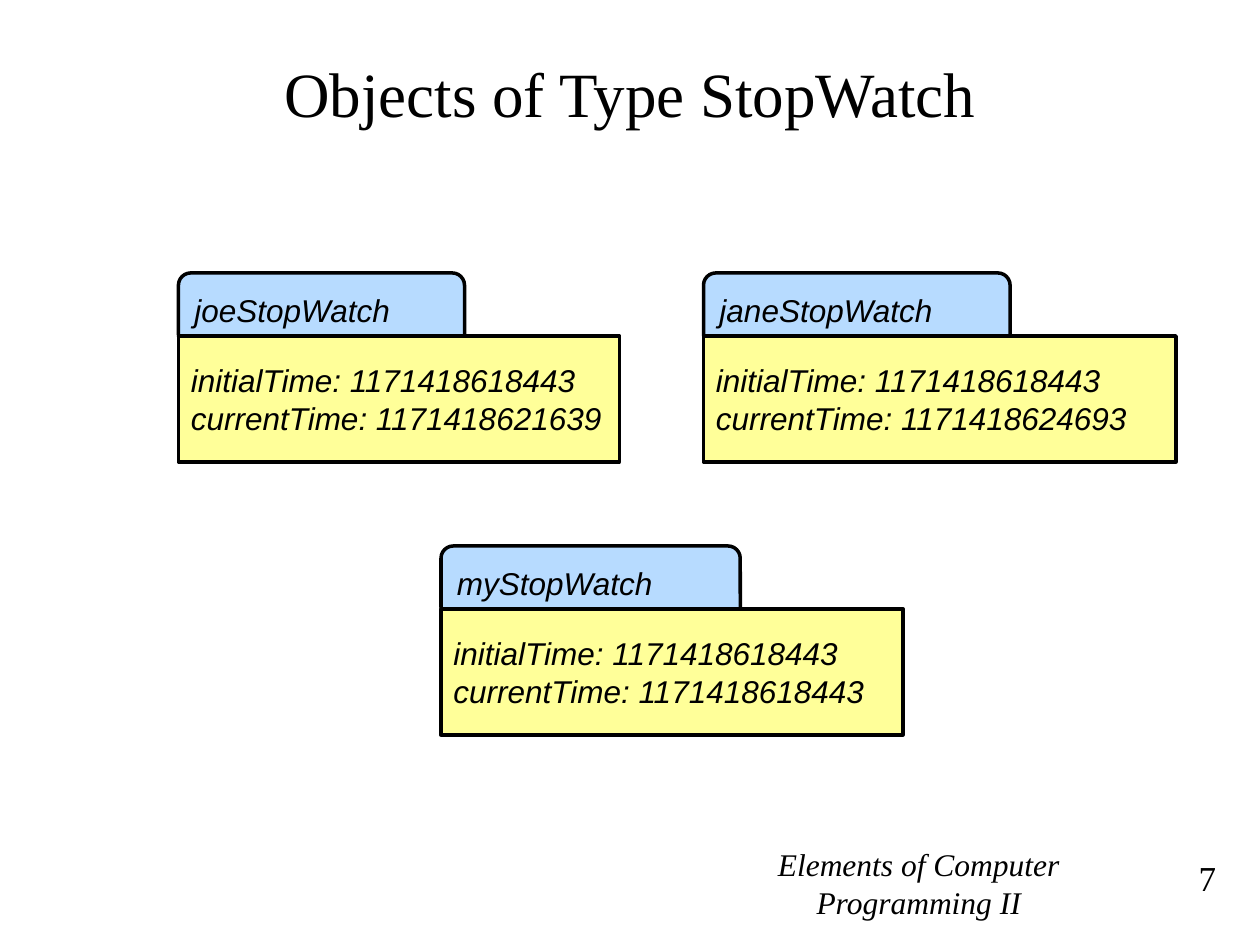
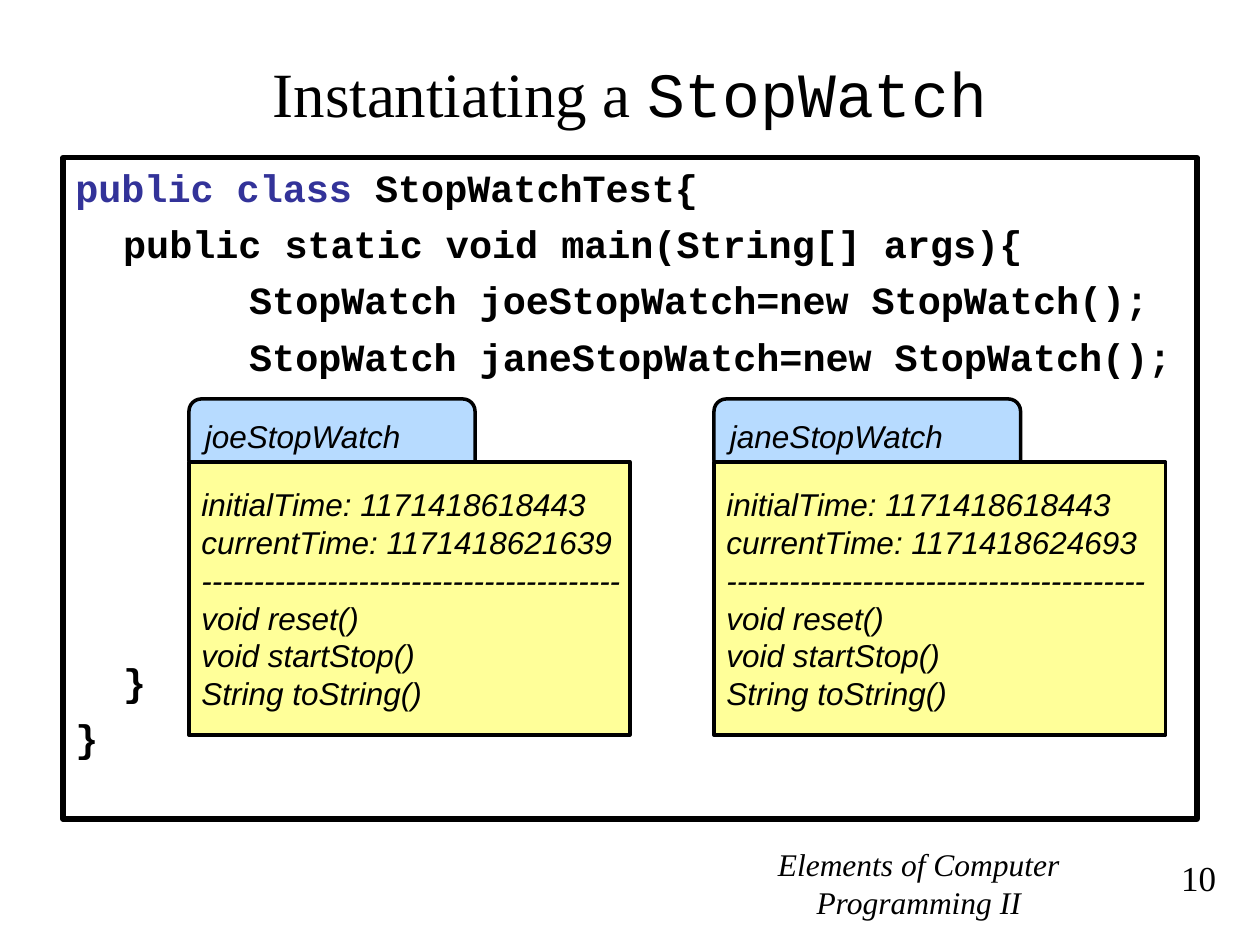
from dataclasses import dataclass
from typing import NamedTuple

from lxml import etree
from pptx import Presentation
from pptx import util as u
from pptx.dml.color import RGBColor
from pptx.enum import shapes, text
from pptx.oxml.ns import qn

# Shared style: the slide is a grid of 120 columns by 90 rows
WIDTH, HEIGHT = u.Inches(10), u.Inches(7.5)
COLS, ROWS = 120, 90
COLORS = {"ink": "000000", "keyword": "333399", "tab": "99CCFF", "body": "FFFF99"}
SERIF, SANS, MONO = "Times New Roman", "Arial", "Courier New"
LEFT, CENTER, RIGHT = text.PP_ALIGN.LEFT, text.PP_ALIGN.CENTER, text.PP_ALIGN.RIGHT
MIDDLE, TOP = text.MSO_ANCHOR.MIDDLE, text.MSO_ANCHOR.TOP

# Object cards and code lines
TAB_ROWS, TAB_OVERLAP = 7, 1
LINE_GAP, CODE_STEP = 5.8, 30.7
CODE_INDENTS = (0, 0.38, 1.38)
METHODS = ("-" * 40, "void reset()", "void startStop()", "String toString()")


class Box(NamedTuple):
    col: float
    row: float
    cols: float
    rows: float

    def place(self) -> tuple[int, int, int, int]:
        x, y = WIDTH / COLS, HEIGHT / ROWS
        return (round(self.col * x), round(self.row * y),
                round(self.cols * x), round(self.rows * y))


class Style(NamedTuple):
    font: str
    size: float
    bold: bool = False
    italic: bool = False
    color: str = "ink"


TITLE = Style(SERIF, 36)
TITLE_CODE = Style(MONO, 36)
FOOTER = Style(SERIF, 18, italic=True)
NUMBER = Style(SERIF, 20)
CARD = Style(SANS, 18, italic=True)
CODE = Style(MONO, 22, bold=True)
KEYWORD = CODE._replace(color="keyword")


class Span(NamedTuple):
    text: str
    style: Style


@dataclass
class CodeLine:
    spans: list[Span]
    level: int = 0
    skipped: int = 0  # lines left free above this one


@dataclass
class ObjectCard:
    name: str
    current: str
    col: float
    row: float
    tab_cols: float
    body_cols: float
    body_rows: float = 12
    methods: tuple[str, ...] = ()
    initial: str = "1171418618443"

    def lines(self) -> list[str]:
        return [f"initialTime: {self.initial}", f"currentTime: {self.current}",
                *self.methods]


def rgb(name: str) -> RGBColor:
    return RGBColor.from_string(COLORS[name])


def write(p, spans: list[Span], align=LEFT) -> None:
    p.alignment = align
    for span in spans:
        r = p.add_run()
        r.text = span.text
        font = r.font
        font.name, font.size = span.style.font, u.Pt(span.style.size)
        font.bold, font.italic = span.style.bold, span.style.italic
        font.color.rgb = rgb(span.style.color)


def add_text(s, box: Box, spans: list[Span], align, anchor=TOP):
    tf = s.shapes.add_textbox(*box.place()).text_frame
    tf.word_wrap = True
    tf.vertical_anchor = anchor
    write(tf.paragraphs[0], spans, align)
    return tf


def add_panel(parent, kind, box: Box, fill: str | None, line: float):
    sp = parent.shapes.add_shape(kind, *box.place())
    sp.shadow.inherit = False
    if fill:
        sp.fill.solid()
        sp.fill.fore_color.rgb = rgb(fill)
    else:
        sp.fill.background()
    sp.line.color.rgb = rgb("ink")
    sp.line.width = u.Pt(line)
    return sp


def add_card_part(parent, kind, box: Box, fill: str, lines: list[str]):
    sp = add_panel(parent, kind, box, fill, 2)
    tf = sp.text_frame
    tf.word_wrap = False
    tf.vertical_anchor = MIDDLE
    for i, line in enumerate(lines):
        p = tf.add_paragraph() if i else tf.paragraphs[0]
        write(p, [Span(line, CARD)])
    return sp


def add_card(s, card: ObjectCard) -> None:
    group = s.shapes.add_group_shape()
    tab = add_card_part(group, shapes.MSO_SHAPE.ROUNDED_RECTANGLE,
                        Box(card.col, card.row, card.tab_cols, TAB_ROWS),
                        "tab", [card.name])
    color = tab.fill._xPr.find(".//" + qn("a:srgbClr"))
    etree.SubElement(color, qn("a:alpha")).set("val", "70000")
    add_card_part(group, shapes.MSO_SHAPE.RECTANGLE,
                  Box(card.col, card.row + TAB_ROWS - TAB_OVERLAP,
                      card.body_cols, card.body_rows),
                  "body", card.lines())


def add_code(s, box: Box, lines: list[CodeLine]) -> None:
    tf = add_panel(s, shapes.MSO_SHAPE.RECTANGLE, box, None, 3).text_frame
    tf.word_wrap = True
    tf.vertical_anchor = TOP
    for i, line in enumerate(lines):
        p = tf.add_paragraph() if i else tf.paragraphs[0]
        write(p, line.spans)
        p.space_before = u.Pt(LINE_GAP + line.skipped * CODE_STEP)
        p._p.get_or_add_pPr().set("marL", str(u.Inches(CODE_INDENTS[line.level])))


def add_slide(prs, number: int, title: list[Span]):
    s = prs.slides.add_slide(prs.slide_layouts[6])
    tf = add_text(s, Box(68, 80.5, 39, 8.5),
                  [Span("Elements of Computer Programming II", FOOTER)], CENTER)
    tf.margin_left = tf.margin_top = tf.margin_right = 0
    tf.margin_bottom = u.Inches(0.1)
    add_text(s, Box(104, 81, 13, 5.2), [Span(str(number), NUMBER)], RIGHT)
    add_text(s, Box(6, 3.6, 108, 10.4), title, CENTER, MIDDLE)
    return s


def main() -> None:
    prs = Presentation()
    prs.slide_width, prs.slide_height = WIDTH, HEIGHT

    # Three objects with their state
    s = add_slide(prs, 7, [Span("Objects of Type StopWatch", TITLE)])
    for card in (
        ObjectCard("joeStopWatch", "1171418621639", 17, 26, 27.25, 42),
        ObjectCard("janeStopWatch", "1171418624693", 67, 26, 29.2, 45),
        ObjectCard("myStopWatch", "1171418618443", 42, 52, 28.5, 44),
    ):
        add_card(s, card)

    # Test program with the two objects it creates
    s = add_slide(prs, 10, [Span("Instantiating a ", TITLE),
                            Span("StopWatch", TITLE_CODE)])
    add_code(s, Box(6, 15, 108, 63), [
        CodeLine([Span("public class", KEYWORD), Span(" StopWatchTest{", CODE)]),
        CodeLine([Span("public static void main(String[] args){", CODE)], 1),
        CodeLine([Span("StopWatch joeStopWatch=new StopWatch();", CODE)], 2),
        CodeLine([Span("StopWatch janeStopWatch=new StopWatch();", CODE)], 2),
        CodeLine([Span("}", CODE)], 1, skipped=5),
        CodeLine([Span("}", CODE)]),
    ])
    for card in (
        ObjectCard("joeStopWatch", "1171418621639", 18, 38, 27.25, 42, 26, METHODS),
        ObjectCard("janeStopWatch", "1171418624693", 68, 38, 29.2, 43, 26, METHODS),
    ):
        add_card(s, card)

    prs.save("out.pptx")


if __name__ == "__main__":
    main()
